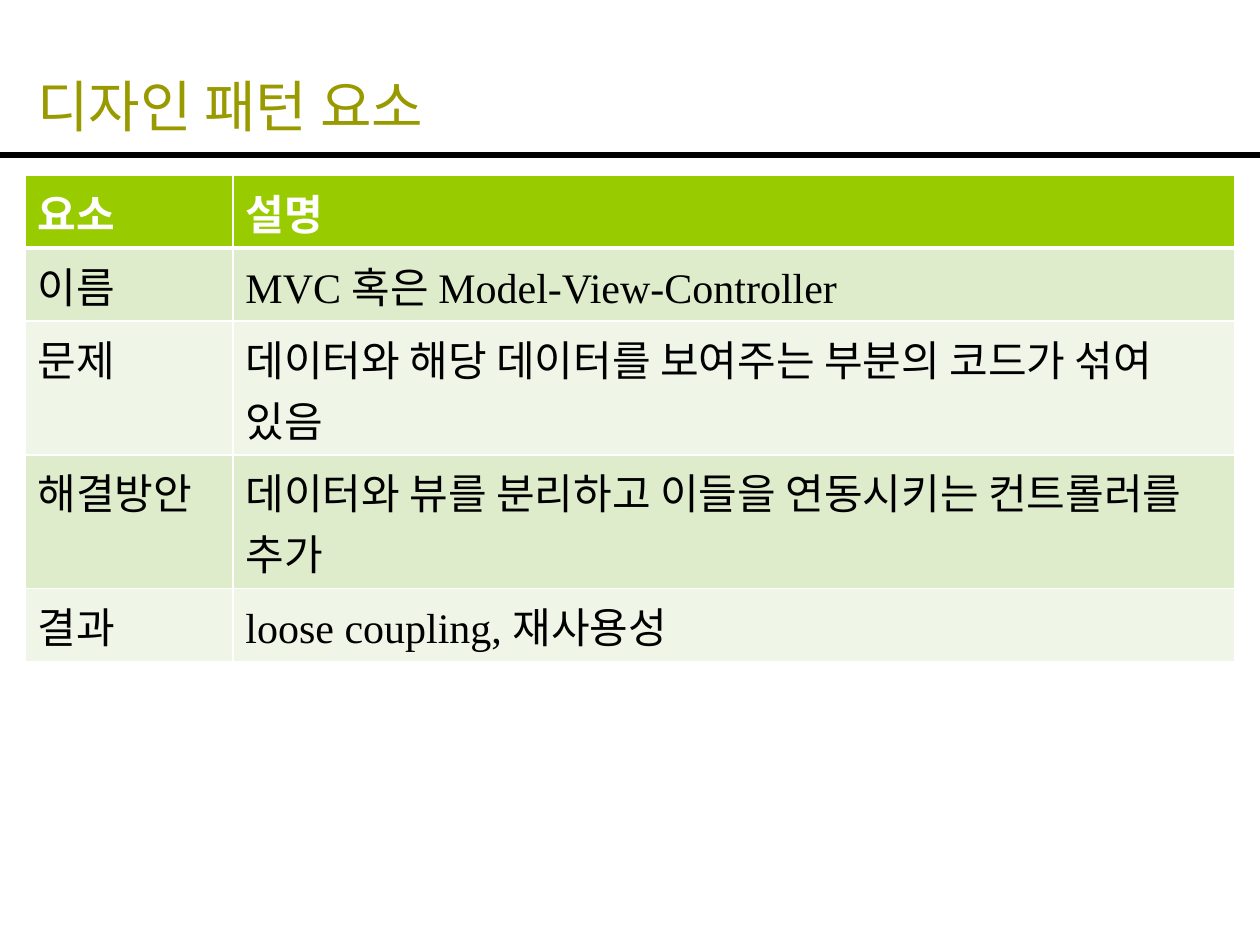
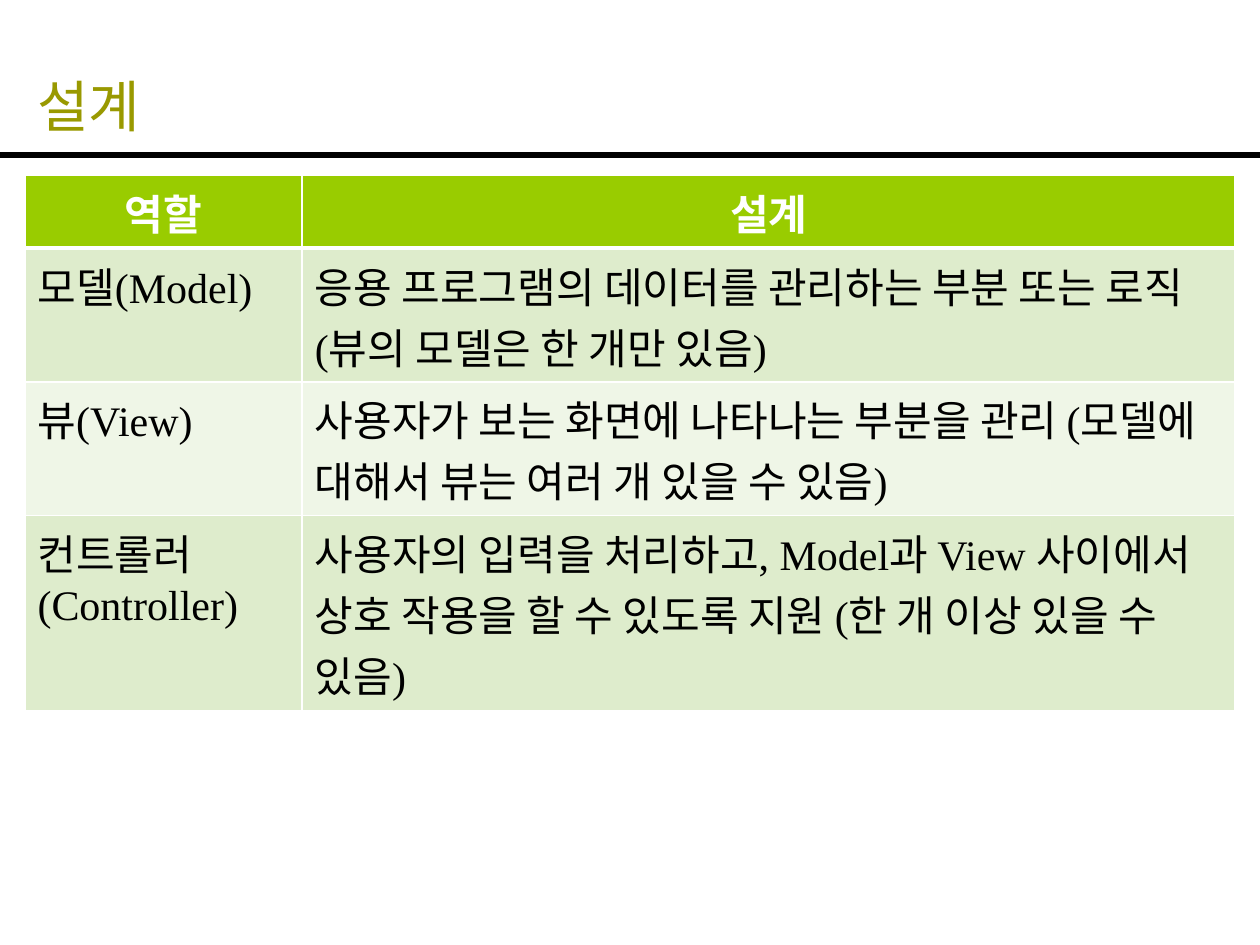
from dataclasses import dataclass

from lxml.etree import SubElement
from pptx import Presentation
from pptx.dml.color import RGBColor
from pptx.enum.shapes import MSO_CONNECTOR as Connector
from pptx.enum.text import MSO_ANCHOR as Anchor, PP_ALIGN as Align
from pptx.oxml.ns import qn
from pptx.slide import Slide
from pptx.util import Inches, Pt

WIDTH, HEIGHT = Inches(10), Inches(7.5)


@dataclass(frozen=True)
class Theme:
    title: str = "999900"
    rule: str = "000000"
    head: str = "99CC00"
    head_text: str = "FFFFFF"
    text: str = "000000"
    bands: tuple[str, str] = ("DEECCC", "EFF6E7")
    border: str = "FFFFFF"
    title_size: int = 32
    body_size: int = 24
    rule_width: int = 3
    border_width: int = 1
    head_border_width: int = 3
    title_font: str = "Noto Sans CJK KR"
    body_font: str = "Times New Roman"


@dataclass(frozen=True)
class TableSlide:
    title: str
    cells: list[tuple[str, str]]
    col_widths: tuple[float, float]
    line_counts: tuple[int, ...]
    head_align: Align = Align.LEFT


THEME = Theme()
LEFT, SPAN = 1.98, 96.1
TITLE_TOP, TITLE_HEIGHT = 4, 11.33
RULE_TOP, TABLE_TOP = 16.4, 18.53
FIRST_LINE, NEXT_LINE = 7.73, 6.43

SLIDES = [
    TableSlide(
        "디자인 패턴 요소",
        [
            ("요소", "설명"),
            ("이름", "MVC 혹은 Model-View-Controller"),
            ("문제", "데이터와 해당 데이터를 보여주는 부분의 코드가 섞여 있음"),
            ("해결방안", "데이터와 뷰를 분리하고 이들을 연동시키는 컨트롤러를 추가"),
            ("결과", "loose coupling, 재사용성"),
        ],
        (16.5, 79.5), (1, 1, 2, 2, 1),
    ),
    TableSlide(
        "설계",
        [
            ("역할", "설계"),
            ("모델(Model)", "응용 프로그램의 데이터를 관리하는 부분 또는 로직 (뷰의 모델은 한 개만 있음)"),
            ("뷰(View)", "사용자가 보는 화면에 나타나는 부분을 관리 (모델에 대해서 뷰는 여러 개 있을 수 있음)"),
            ("컨트롤러(Controller)",
             "사용자의 입력을 처리하고, Model과 View 사이에서 상호 작용을 할 수 있도록 지원 (한 개 이상 있을 수 있음)"),
        ],
        (22, 74.05), (1, 2, 2, 3), Align.CENTER,
    ),
]


def cols(n: float) -> int:
    return round(WIDTH * n / 100)


def rows(n: float) -> int:
    return round(HEIGHT * n / 100)


def write(tf, text: str, size: int, color: str, name: str,
          bold: bool = False, align: Align = Align.LEFT) -> None:
    p = tf.paragraphs[0]
    p.text, p.alignment = text, align
    font = p.font
    font.size, font.bold, font.name = Pt(size), bold, name
    font.color.rgb = RGBColor.from_string(color)


def add_title(s: Slide, text: str) -> None:
    sp = s.shapes.add_textbox(cols(LEFT), rows(TITLE_TOP), cols(SPAN), rows(TITLE_HEIGHT))
    tf = sp.text_frame
    tf.word_wrap, tf.vertical_anchor = True, Anchor.BOTTOM
    write(tf, text, THEME.title_size, THEME.title, THEME.title_font)


def add_rule(s: Slide) -> None:
    y = rows(RULE_TOP)
    line = s.shapes.add_connector(Connector.STRAIGHT, 0, y, WIDTH, y)
    line.line.color.rgb = RGBColor.from_string(THEME.rule)
    line.line.width = Pt(THEME.rule_width)
    SubElement(line._element.spPr, qn("a:effectLst"))


def set_borders(cell, top: int, bottom: int) -> None:
    props = cell._tc.get_or_add_tcPr()
    side = THEME.border_width
    widths = {"lnL": side, "lnR": side, "lnT": top, "lnB": bottom}
    for i, (tag, width) in enumerate(widths.items()):
        ln = SubElement(props, qn(f"a:{tag}"), w=str(Pt(width)))
        fill = SubElement(ln, qn("a:solidFill"))
        SubElement(fill, qn("a:srgbClr"), val=THEME.border)
        props.insert(i, ln)


def add_table(s: Slide, data: TableSlide) -> None:
    heights = [FIRST_LINE + NEXT_LINE * (n - 1) for n in data.line_counts]
    frame = s.shapes.add_table(len(data.cells), len(data.col_widths), cols(LEFT),
                               rows(TABLE_TOP), cols(SPAN), rows(sum(heights)))
    table = frame.table
    for col, width in zip(table.columns, data.col_widths):
        col.width = cols(width)
    for row, height in zip(table.rows, heights):
        row.height = rows(height)
    thin, thick = THEME.border_width, THEME.head_border_width
    for i, texts in enumerate(data.cells):
        head = i == 0
        fill = THEME.head if head else THEME.bands[(i - 1) % 2]
        for j, text in enumerate(texts):
            cell = table.cell(i, j)
            cell.fill.solid()
            cell.fill.fore_color.rgb = RGBColor.from_string(fill)
            set_borders(cell, thick if i == 1 else thin, thick if head else thin)
            write(cell.text_frame, text, THEME.body_size,
                  THEME.head_text if head else THEME.text, THEME.body_font,
                  head, data.head_align if head else Align.LEFT)


def main() -> None:
    prs = Presentation()
    prs.slide_width, prs.slide_height = WIDTH, HEIGHT
    for data in SLIDES:
        s = prs.slides.add_slide(prs.slide_layouts[6])
        add_rule(s)
        add_title(s, data.title)
        add_table(s, data)
    prs.save("out.pptx")


if __name__ == "__main__":
    main()
